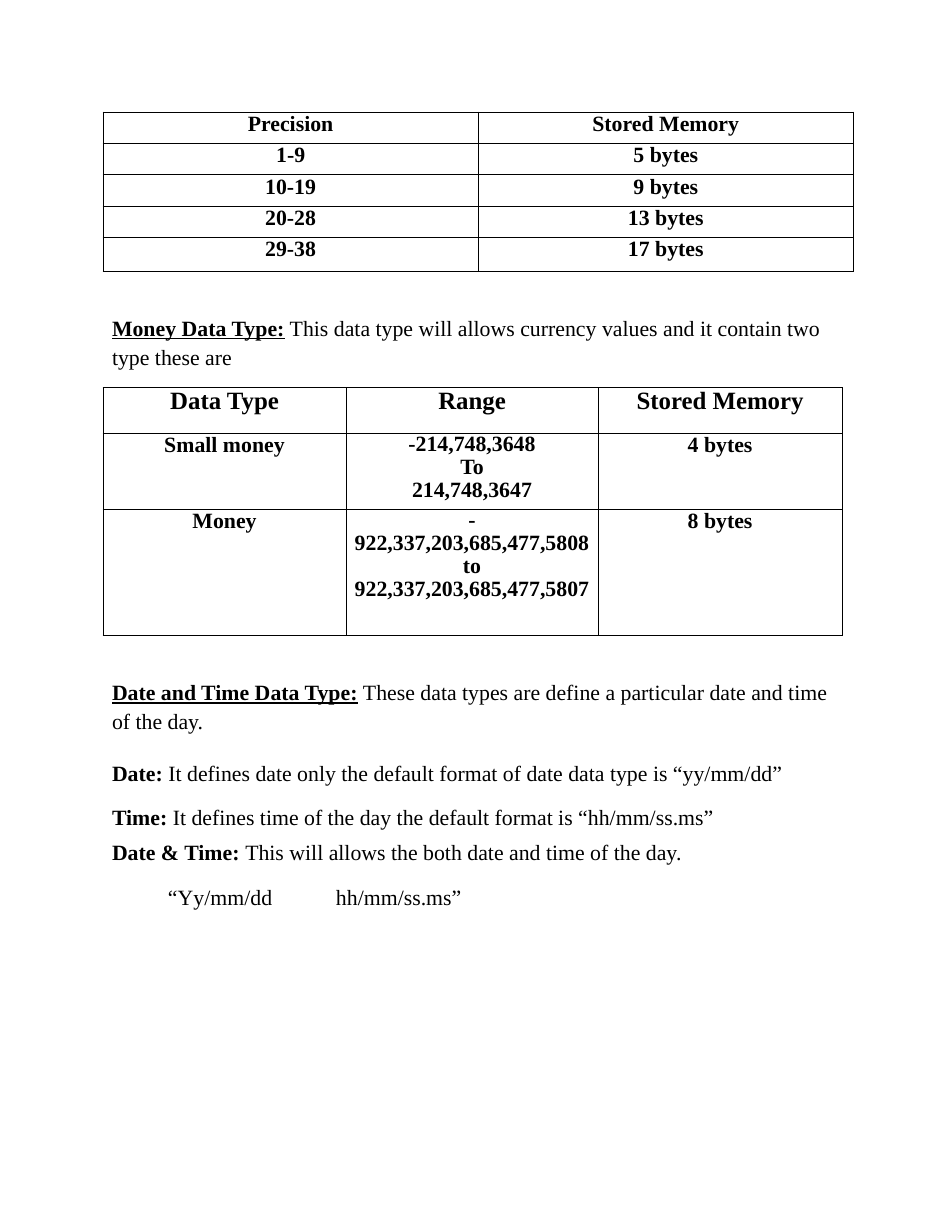
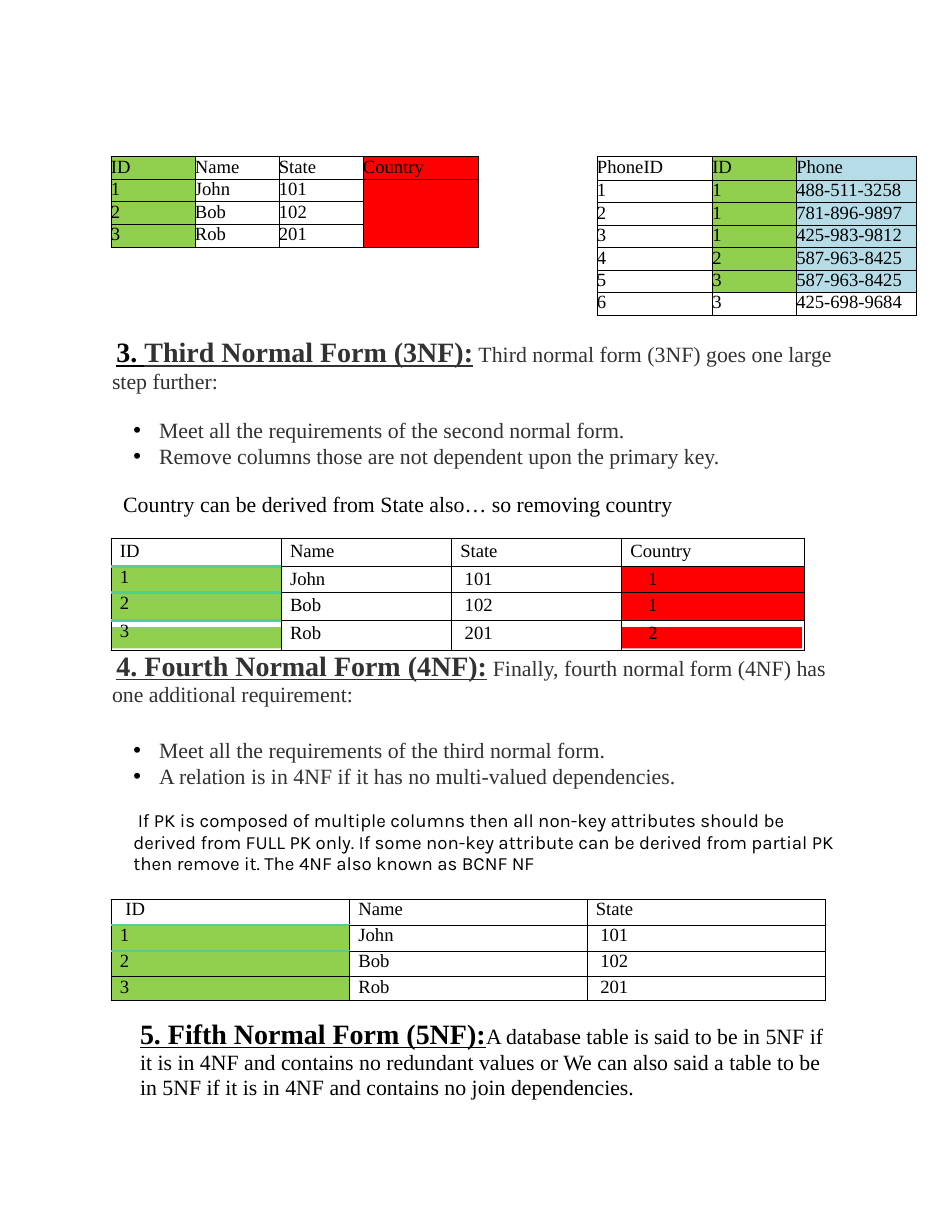
from lxml.etree import SubElement
from pptx import Presentation
from pptx.dml.color import RGBColor
from pptx.enum.shapes import MSO_SHAPE
from pptx.enum.text import MSO_AUTO_SIZE, PP_ALIGN
from pptx.oxml.ns import qn
from pptx.util import Inches, Pt

SERIF = "Times New Roman"
BLACK, GREY = "000000", "323232"
GREEN, RED, BLUE, TEAL = "91CF4F", "FE0000", "B6DDE7", "4FCF91"
HEADING = dict(size=18, bold=True, underline=True)
LABEL = dict(bold=True, underline=True)
BOLD = dict(bold=True)
DARK = dict(colour=GREY)


def write(para, text, size=14, font=SERIF, colour=BLACK, bold=False, underline=False):
    span = para.add_run()
    span.text = text
    span.font.size = Pt(size)
    span.font.name = font
    span.font.bold = bold
    span.font.underline = underline
    span.font.color.rgb = RGBColor.from_string(colour)


def draw_table(page, left, top, widths, heights, rows, fills=None, accents=None,
               header_indents=None, indents=None, padding=0, align=PP_ALIGN.LEFT,
               header_size=12, size=12, bold=False):
    """Add a ruled table; fills maps (row, column) to a colour, and accents
    maps a row to the width of the teal rule under its first cell."""
    fills, accents = fills or {}, accents or {}
    frame = page.shapes.add_table(len(rows), len(widths), Inches(left), Inches(top),
                                  Inches(sum(widths)), Inches(sum(heights)))
    table = frame.table
    table.first_row = table.horz_banding = False
    for column, width in zip(table.columns, widths):
        column.width = Inches(width)
    for r, (height, texts) in enumerate(zip(heights, rows)):
        table.rows[r].height = Inches(height)
        cell_indents = (indents if r else header_indents) or [0] * len(widths)
        for c, text in enumerate(texts):
            cell = table.cell(r, c)
            cell.margin_left = Inches(cell_indents[c])
            cell.margin_right = cell.margin_bottom = 0
            cell.margin_top = Inches(padding if c or not r else 0)
            properties = cell._tc.get_or_add_tcPr()
            for side in "LRTB":
                accent_row = {"T": r - 1, "B": r}.get(side)
                accent = accents.get(accent_row) if c == 0 else None
                line = SubElement(properties, qn(f"a:ln{side}"), w=str(Pt(accent or 0.48)))
                fill = SubElement(line, qn("a:solidFill"))
                SubElement(fill, qn("a:srgbClr"), val=TEAL if accent else BLACK)
            if (r, c) in fills:
                cell.fill.solid()
                cell.fill.fore_color.rgb = RGBColor.from_string(fills[r, c])
            else:
                cell.fill.background()
            lines = text.split("\n") if text else []
            for i, words in enumerate(lines):
                para = cell.text_frame.add_paragraph() if i else cell.text_frame.paragraphs[0]
                para.alignment = align
                if len(lines) > 1:
                    para.line_spacing = 0.95
                write(para, words, size=size if r else header_size, bold=bold)
    return table


# Each paragraph: spans, then its spacing, left margin, first-line indent and bullet
bullet = dict(margin=0.42, indent=-0.23, bullet=True, spacing=Pt(17.1))
data_types_text = [
    ([("Money Data Type:", LABEL),
      (" This data type will allows currency values and it contain two type these are", {})],
     dict(spacing=1.11)),
    ([("Date and Time Data Type:", LABEL),
      (" These data types are define a particular date and time of the day.", {})],
     dict(spacing=1.11, before=197.1)),
    ([("Date: ", BOLD),
      ("It defines date only the default format of date data type is “yy/mm/dd”", {})],
     dict(spacing=1.69, before=4.9)),
    ([("Time: ", BOLD),
      ("It defines time of the day the default format is “hh/mm/ss.ms”", {})],
     dict(spacing=1.69)),
    ([("Date & Time: ", BOLD),
      ("This will allows the both date and time of the day.", {})],
     dict(before=5.9)),
]
normal_forms_text = [
    ([("3. ", HEADING), ("Third Normal Form (3NF):", HEADING | DARK),
      (" Third normal form (3NF) goes one large step further:", DARK)],
     dict(indent=0.04, spacing=0.96)),
    ([("Meet all the requirements of the second normal form.", DARK)],
     bullet | dict(before=13.9)),
    ([("Remove columns those are not dependent upon the primary key.", DARK)], bullet),
    ([("Country can be derived from State also… so removing country", {})],
     dict(indent=0.1, before=13.8)),
    ([("4. Fourth Normal Form (4NF):", HEADING | DARK),
      (" Finally, fourth normal form (4NF) has one additional requirement:", DARK)],
     dict(indent=0.04, spacing=0.96, before=86)),
    ([("Meet all the requirements of the third normal form.", DARK)],
     bullet | dict(before=18)),
    ([("A relation is in 4NF if it has no multi-valued dependencies.", DARK)], bullet),
    ([("If PK is composed of multiple columns then all non-key attributes should be "
       "derived from FULL PK only. If some non-key attribute can be derived from partial PK "
       "then remove it. The 4NF also known as BCNF NF", dict(size=12, font="Karla"))],
     dict(margin=0.19, indent=0.04, spacing=0.96, before=13.7)),
    ([("5. Fifth Normal Form (5NF):", HEADING),
      ("A database table is said to be in 5NF if it is in 4NF and contains no redundant "
       "values or We can also said a table to be in 5NF if it is in 4NF and contains no "
       "join dependencies.", {})],
     dict(margin=0.25, spacing=0.96, before=92.2)),
]

deck = Presentation()
deck.slide_width, deck.slide_height = Inches(8.5), Inches(11)

# Running text of both pages, in the body placeholder
pages = []
for top, width, height, paragraphs in [(2.78, 6.46, 4.95, data_types_text),
                                       (3.01, 6.5, 6.83, normal_forms_text)]:
    page = deck.slides.add_slide(deck.slide_layouts[1])
    pages.append(page)
    title = page.shapes.title.element
    title.getparent().remove(title)
    body = page.placeholders[1]
    body.left, body.top = Inches(1), Inches(top)
    body.width, body.height = Inches(width), Inches(height)
    text = body.text_frame
    text.auto_size = MSO_AUTO_SIZE.NONE
    text.margin_left = text.margin_top = text.margin_right = text.margin_bottom = 0
    for i, (spans, layout) in enumerate(paragraphs):
        para = text.add_paragraph() if i else text.paragraphs[0]
        properties = para._p.get_or_add_pPr()
        properties.set("marL", str(Inches(layout.get("margin", 0))))
        properties.set("indent", str(Inches(layout.get("indent", 0))))
        if layout.get("bullet"):
            colour = SubElement(properties, qn("a:buClr"))
            SubElement(colour, qn("a:srgbClr"), val=BLACK)
            SubElement(properties, qn("a:buFont"), typeface="Arial")
            SubElement(properties, qn("a:buChar"), char="•")
        else:
            SubElement(properties, qn("a:buNone"))
        para.space_before = Pt(layout.get("before", 0))
        para.line_spacing = layout.get("spacing", 1.0)
        for words, style in spans:
            write(para, words, **style)
data_types, normal_forms = pages

# Data types: date format line and two tables
box = data_types.shapes.add_textbox(Inches(1.5), Inches(7.89), Inches(2.76), Inches(0.23))
text = box.text_frame
text.word_wrap = True
text.margin_left = text.margin_top = text.margin_right = text.margin_bottom = 0
para = text.paragraphs[0]
tabs = SubElement(para._p.get_or_add_pPr(), qn("a:tabLst"))
SubElement(tabs, qn("a:tab"), pos=str(Inches(1.5)), algn="l")
write(para, "“Yy/mm/dd\thh/mm/ss.ms”")

draw_table(data_types, 0.92, 1, [3.35] * 2, [0.28] * 4 + [0.3],
           [("Precision", "Stored Memory"), ("1-9", "5 bytes"), ("10-19", "9 bytes"),
            ("20-28", "13 bytes"), ("29-38", "17 bytes")],
           align=PP_ALIGN.CENTER, header_size=14, size=14, bold=True)
draw_table(data_types, 0.92, 3.46, [2.17, 2.25, 2.18], [0.41, 0.68, 1.12],
           [("Data Type", "Range", "Stored Memory"),
            ("Small money", "-214,748,3648\nTo\n214,748,3647", "4 bytes"),
            ("Money", "-\n922,337,203,685,477,5808\nto\n922,337,203,685,477,5807", "8 bytes")],
           align=PP_ALIGN.CENTER, header_size=16, size=14, bold=True)

# Normal forms: colour bars behind the last row of the 3NF table
for left, width, colour in [(1, 1.51, GREEN), (5.55, 1.61, RED)]:
    bar = normal_forms.shapes.add_shape(MSO_SHAPE.RECTANGLE, Inches(left), Inches(5.6),
                                        Inches(width), Inches(0.19))
    bar.shadow.inherit = False
    bar.fill.solid()
    bar.fill.fore_color.rgb = RGBColor.from_string(colour)
    bar.line.fill.background()

people = [("ID", "Name", "State"), ("1", "John", "101"),
          ("2", "Bob", "102"), ("3", "Rob", "201")]
countries = ["Country", "1", "1", "2"]
green_ids = {(r, 0): GREEN for r in range(1, 4)}

table = draw_table(normal_forms, 0.99, 1.4, [0.75, 0.75, 0.75, 1.03], [0.2] * 3 + [0.21],
                   [row + (country,) for row, country in zip(people, ["Country", "", "", ""])],
                   fills=green_ids | {(0, 0): GREEN} | {(r, 3): RED for r in range(4)})
table.cell(1, 3).merge(table.cell(3, 3))

phones = [("PhoneID", "ID", "Phone"), ("1", "1", "488-511-3258"), ("2", "1", "781-896-9897"),
          ("3", "1", "425-983-9812"), ("4", "2", "587-963-8425"), ("5", "3", "587-963-8425"),
          ("6", "3", "425-698-9684")]
draw_table(normal_forms, 5.33, 1.4, [1.03, 0.75, 1.07], [0.21] + [0.2] * 5 + [0.21], phones,
           fills={(r, c): colour for r in range(6) for c, colour in [(1, GREEN), (2, BLUE)]})

draw_table(normal_forms, 0.99, 4.81, [1.52, 1.52, 1.52, 1.63], [0.25, 0.23, 0.25, 0.27],
           [row + (country,) for row, country in zip(people, countries)],
           fills={(r, c): colour for r in (1, 2) for c, colour in [(0, GREEN), (3, RED)]},
           accents={0: 1.92, 1: 1.8, 2: 1.92}, padding=0.02,
           header_indents=[0.08] * 4, indents=[0.08, 0.08, 0.12, 0.24])

draw_table(normal_forms, 0.99, 8.03, [2.13, 2.12, 2.13], [0.23] * 3 + [0.21], people,
           fills=green_ids, accents={0: 1.08, 1: 1.08},
           header_indents=[0.13, 0.08, 0.08], indents=[0.08, 0.08, 0.12])

deck.save("out.pptx")
